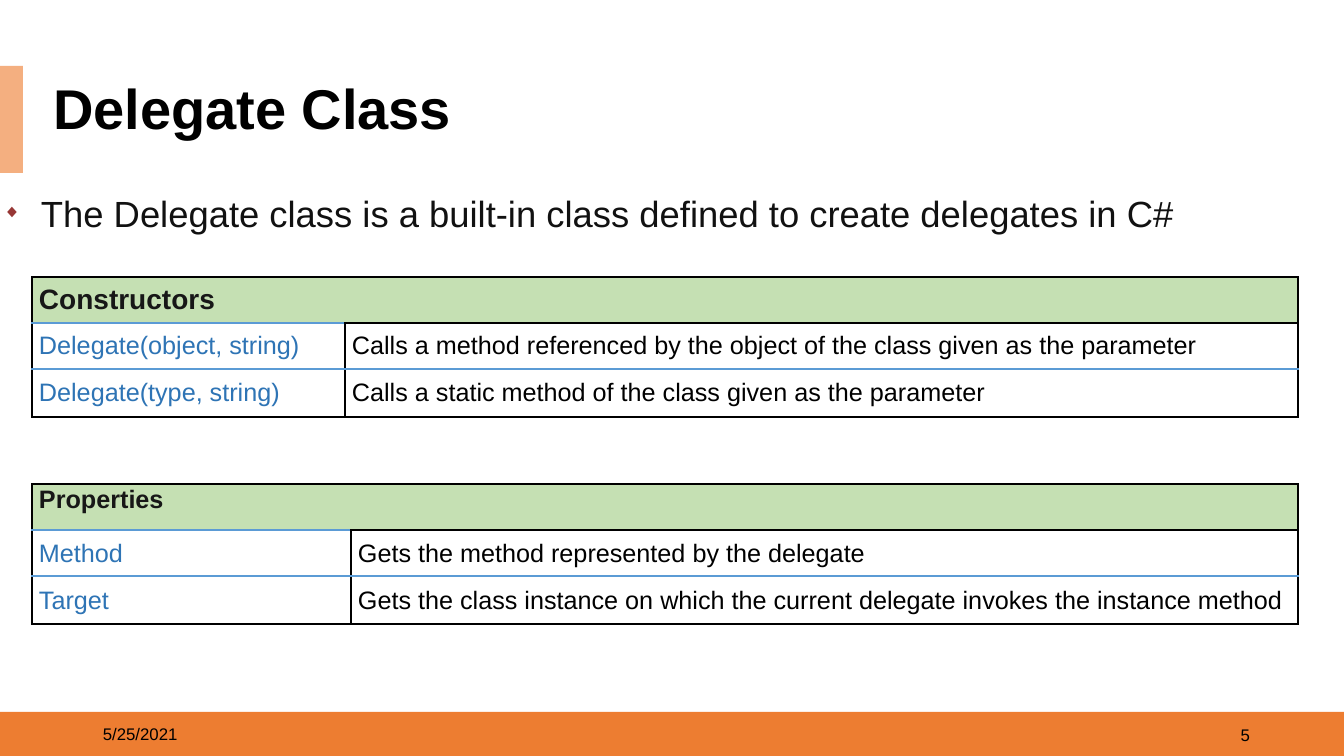
from pptx import Presentation, util as u
from pptx.dml.color import RGBColor
from pptx.enum import shapes, text
from pptx.oxml import parse_xml
from pptx.oxml.ns import nsdecls

SCALE = 100.8
FONT = "Arial"
BLACK, WHITE, BLUE = "000000", "FFFFFF", "5B9BD5"
MID = text.MSO_ANCHOR.MIDDLE
JUST = text.PP_ALIGN.JUSTIFY


def px(n):
    return u.Emu(round(n * 914400 / SCALE))


def color(code):
    return RGBColor.from_string(code)


def write(frame, words, size, code, bold=False, align=None):
    frame.text = words
    para = frame.paragraphs[0]
    para.alignment = align
    font = para.runs[0].font
    font.name, font.size, font.bold = FONT, u.Pt(size), bold
    font.color.rgb = color(code)
    return para


def bar(slide, box, code):
    shape = slide.shapes.add_shape(shapes.MSO_SHAPE.RECTANGLE, *map(px, box))
    shape.shadow.inherit = False
    shape.fill.solid()
    shape.fill.fore_color.rgb = color(code)
    shape.line.fill.background()


def label(slide, box, words, size, code, align=None):
    shape = slide.shapes.add_textbox(*map(px, box))
    frame = shape.text_frame
    frame.word_wrap = True
    frame.vertical_anchor = MID
    return frame, write(frame, words, size, code, align=align)


def header(slide, box):
    left, top, width, height = box
    bar(slide, (0, top - 13, 23, 107), "F4AF80")
    title = slide.shapes.title
    title.left, title.top, title.width, title.height = map(px, box)
    title.fill.solid()
    title.fill.fore_color.rgb = color(WHITE)
    frame = title.text_frame
    frame.auto_size = text.MSO_AUTO_SIZE.NONE
    frame.vertical_anchor = MID
    para = write(frame, "Delegate Class", 40, BLACK, True, text.PP_ALIGN.LEFT)
    para.line_spacing = 0.9


def intro(slide, box):
    words = "The Delegate class is a built-in class defined to create delegates in C#"
    frame, para = label(slide, box, words, 26, "111111", JUST)
    frame.vertical_anchor = text.MSO_ANCHOR.TOP
    frame.auto_size = text.MSO_AUTO_SIZE.SHAPE_TO_FIT_TEXT
    para.line_spacing = 1.5
    para.space_before = para.space_after = u.Pt(6)
    props = para._p.get_or_add_pPr()
    props.set("marL", str(px(38)))
    props.set("indent", str(-px(38)))
    ns = nsdecls("a")
    for part in (
        f'<a:buClr {ns}><a:srgbClr val="973735"/></a:buClr>',
        f'<a:buSzPct {ns} val="50000"/>',
        f'<a:buFont {ns} typeface="{FONT}"/>',
        f'<a:buChar {ns} char="◆"/>',
        f'<a:tabLst {ns}><a:tab pos="{px(26)}" algn="l"/></a:tabLst>',
    ):
        props.append(parse_xml(part))


def edge(cell, top, base):
    props = cell._tc.get_or_add_tcPr()
    sides = zip("LRTB", (BLACK, BLACK, top, base))
    for spot, (side, code) in enumerate(sides):
        props.insert(spot, parse_xml(
            f'<a:ln{side} {nsdecls("a")} w="12700"><a:solidFill>'
            f'<a:srgbClr val="{code}"/></a:solidFill></a:ln{side}>'))


def grid(slide, box, split, head, size, rows, align=None, line=None, after=None):
    left, top, width, height = box
    table = slide.shapes.add_table(len(rows) + 1, 2, *map(px, box)).table
    table.first_row = table.horz_banding = False
    for col, wide in zip(table.columns, (split, width - split)):
        col.width = px(wide)
    for row, tall in zip(table.rows, (46, 46, 48)):
        row.height = px(tall)
    table.cell(0, 0).merge(table.cell(0, 1))
    for r, row in enumerate([(head, "")] + rows):
        for c, words in enumerate(row):
            cell = table.cell(r, c)
            cell.margin_left = cell.margin_right = px(7)
            cell.margin_top = cell.margin_bottom = 0
            cell.vertical_anchor = MID
            cell.fill.solid()
            cell.fill.fore_color.rgb = color(WHITE if r else "C5E0B3")
            under = BLACK if c else BLUE
            edge(cell, (BLACK, under, BLUE)[r], (under, BLUE, BLACK)[r])
            if not words:
                continue
            if r:
                code = BLACK if c else "2E74B5"
                para = write(cell.text_frame, words, 18, code, align=align)
                para.space_after = after
            else:
                para = write(cell.text_frame, words, size, "171717", True)
            para.line_spacing = line
    return table


def footer(slide, box):
    left, top, width, height = box
    bar(slide, box, "ED7D31")
    label(slide, (left + 93, top + 2, 302, 40), "5/25/2021", 12, BLACK)
    label(slide, (left + 958, top + 3, 302, 40), "5", 12, BLACK,
          text.PP_ALIGN.RIGHT)


def main():
    deck = Presentation()
    deck.slide_width, deck.slide_height = px(1344), px(756)
    slide = deck.slides.add_slide(deck.slide_layouts[5])
    footer(slide, (0, 712, 1344, 44))
    header(slide, (43, 79, 1255, 64))
    grid(slide, (32, 484, 1266, 140), 319, "Properties", 18, [
        ("Method", "Gets the method represented by the delegate"),
        ("Target", "Gets the class instance on which the current delegate "
                   "invokes the instance method"),
    ], line=1.07, after=u.Pt(8)).cell(0, 0).vertical_anchor = text.MSO_ANCHOR.TOP
    grid(slide, (32, 277, 1266, 140), 313, "Constructors", 20, [
        ("Delegate(object, string)", "Calls a method referenced by the object "
                                     "of the class given as the parameter"),
        ("Delegate(type, string)", "Calls a static method of the class given "
                                   "as the parameter"),
    ], align=JUST)
    intro(slide, (-7, 164, 1282, 69))
    deck.save("out.pptx")


if __name__ == "__main__":
    main()
